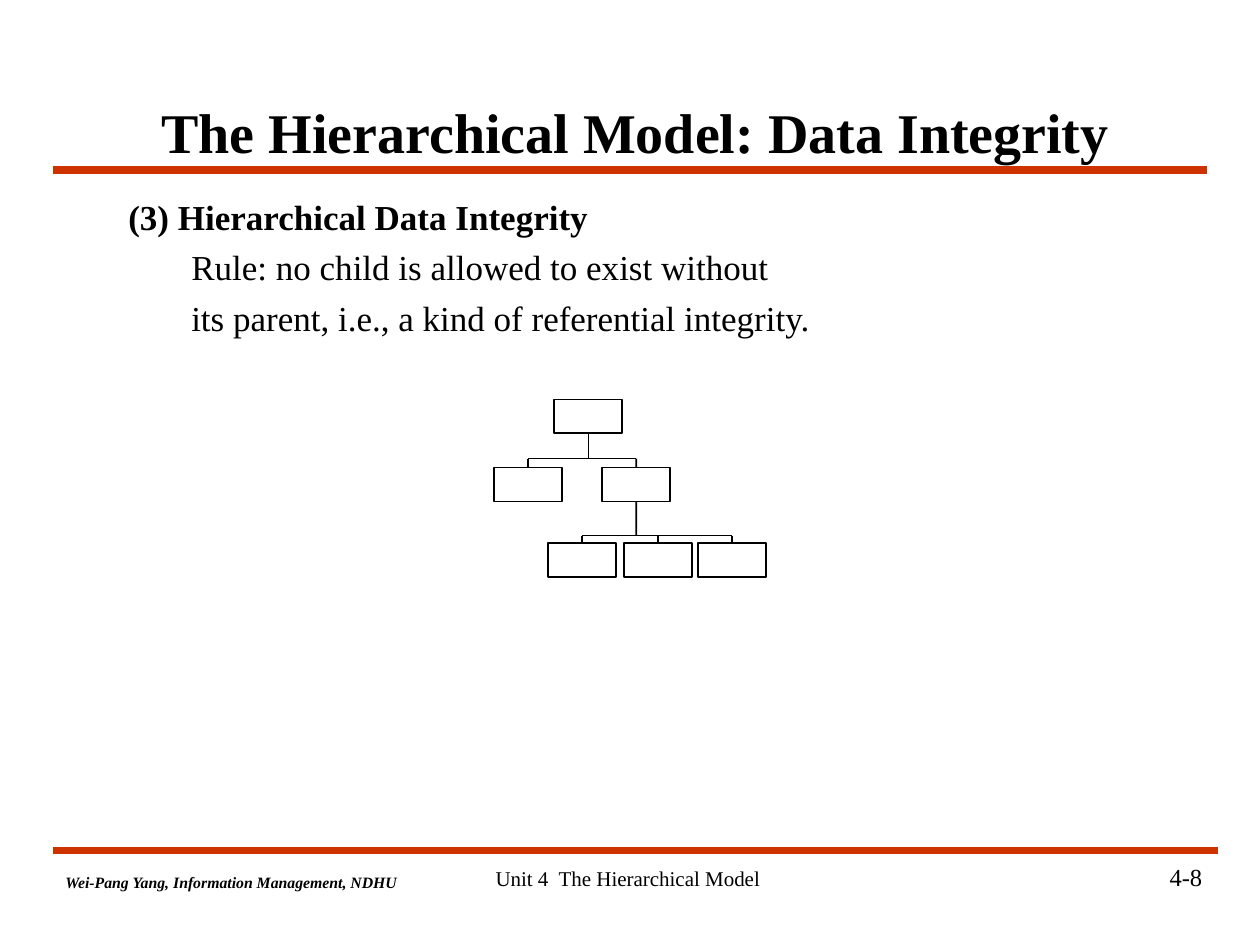
from dataclasses import dataclass

from pptx import Presentation
from pptx import util as u
from pptx.dml.color import RGBColor
from pptx.enum import shapes, text
from pptx.oxml import parse_xml
from pptx.oxml.ns import nsdecls


@dataclass(frozen=True)
class Theme:
    font: str = "Times New Roman"
    ink: RGBColor = RGBColor(0, 0, 0)
    paper: RGBColor = RGBColor(255, 255, 255)
    rule: RGBColor = RGBColor(0xCC, 0x33, 0)
    title: int = 32
    body: int = 20
    number: int = 14
    unit: int = 12
    author: int = 9
    rule_width: float = 4.5
    tree_width: float = 1


theme = Theme()


def add_line(page, start, end, color, width):
    line = page.shapes.add_connector(
        shapes.MSO_CONNECTOR.STRAIGHT, *[u.Inches(value) for value in (*start, *end)]
    )
    line.line.color.rgb = color
    line.line.width = u.Pt(width)
    line._element.spPr.append(parse_xml(f"<a:effectLst {nsdecls('a')}/>"))
    return line


def format_para(para, size, align, bold=False, italic=False):
    para.alignment = align
    for span in para.runs:
        span.font.name = theme.font
        span.font.size = u.Pt(size)
        span.font.bold = bold
        span.font.italic = italic
        span.font.color.rgb = theme.ink


deck = Presentation()
deck.slide_width, deck.slide_height = u.Inches(10), u.Inches(7.5)
page = deck.slides.add_slide(deck.slide_layouts[5])
left, center, right = text.PP_ALIGN.LEFT, text.PP_ALIGN.CENTER, text.PP_ALIGN.RIGHT

for end_x, y in ((9.58, 1.35), (9.67, 6.75)):
    add_line(page, (0.42, y), (end_x, y), theme.rule, theme.rule_width)

footers = [
    ("4-8", (7.56, 6.79, 2.08, 0.5), theme.number, right, False),
    ("Wei-Pang Yang, Information Management, NDHU", (0.42, 6.88, 3.23, 0.25), theme.author, left, True),
    ("Unit 4  The Hierarchical Model ", (3.42, 6.82, 3.17, 0.5), theme.unit, center, False),
]
for words, place, size, align, strong in footers:
    box = page.shapes.add_textbox(*[u.Inches(value) for value in place])
    box.text_frame.word_wrap = True
    box.text_frame.text = words
    format_para(box.text_frame.paragraphs[0], size, align, strong, strong)

title = page.shapes.title
title.left, title.top = u.Inches(0.92), u.Inches(0.58)
title.width, title.height = u.Inches(8.25), u.Inches(0.92)
title.text_frame.text = "The Hierarchical Model: Data Integrity"
title.text_frame.vertical_anchor = text.MSO_ANCHOR.MIDDLE
format_para(title.text_frame.paragraphs[0], theme.title, center, True)

body = page.shapes.add_textbox(u.Inches(0.42), u.Inches(1.5), u.Inches(9.17), u.Inches(5.08))
body.text_frame.word_wrap = True
body.text_frame.text = "\n".join([
    "(3) Hierarchical Data Integrity",
    "Rule: no child is allowed to exist without",
    "its parent, i.e., a kind of referential integrity.",
])
for index, para in enumerate(body.text_frame.paragraphs):
    heading = index == 0
    format_para(para, theme.body, left, heading)
    para.space_before = u.Pt(2 if heading else 5)
    margin, indent = (0.81, -0.31) if heading else (1.25, -0.25)
    properties = para._p.get_or_add_pPr()
    properties.set("marL", str(u.Inches(margin)))
    properties.set("indent", str(u.Inches(indent)))

box_width, box_height = 0.54, 0.27
records = {
    "root": (4.67, 3.17),
    "left child": (4.19, 3.71),
    "right child": (5.05, 3.71),
    "first leaf": (4.62, 4.31),
    "second leaf": (5.22, 4.31),
    "third leaf": (5.81, 4.31),
}
boxes = {}
for name, (middle, top) in records.items():
    box = page.shapes.add_shape(
        shapes.MSO_SHAPE.RECTANGLE,
        u.Inches(middle - box_width / 2), u.Inches(top),
        u.Inches(box_width), u.Inches(box_height),
    )
    box.shadow.inherit = False
    box.fill.solid()
    box.fill.fore_color.rgb = theme.paper
    box.line.color.rgb = theme.ink
    box.line.width = u.Pt(theme.tree_width)
    boxes[name] = box

families = [
    ("root", ["left child", "right child"], 3.64),
    ("right child", ["first leaf", "second leaf", "third leaf"], 4.25),
]
for parent, children, bus in families:
    x, top = records[parent]
    stem = add_line(page, (x, top + box_height), (x, bus), theme.ink, theme.tree_width)
    stem.begin_connect(boxes[parent], 2)
    first, last = records[children[0]][0], records[children[-1]][0]
    add_line(page, (first, bus), (last, bus), theme.ink, theme.tree_width)
    for child in children:
        x, top = records[child]
        drop = add_line(page, (x, bus), (x, top), theme.ink, theme.tree_width)
        drop.end_connect(boxes[child], 0)

deck.save("out.pptx")
